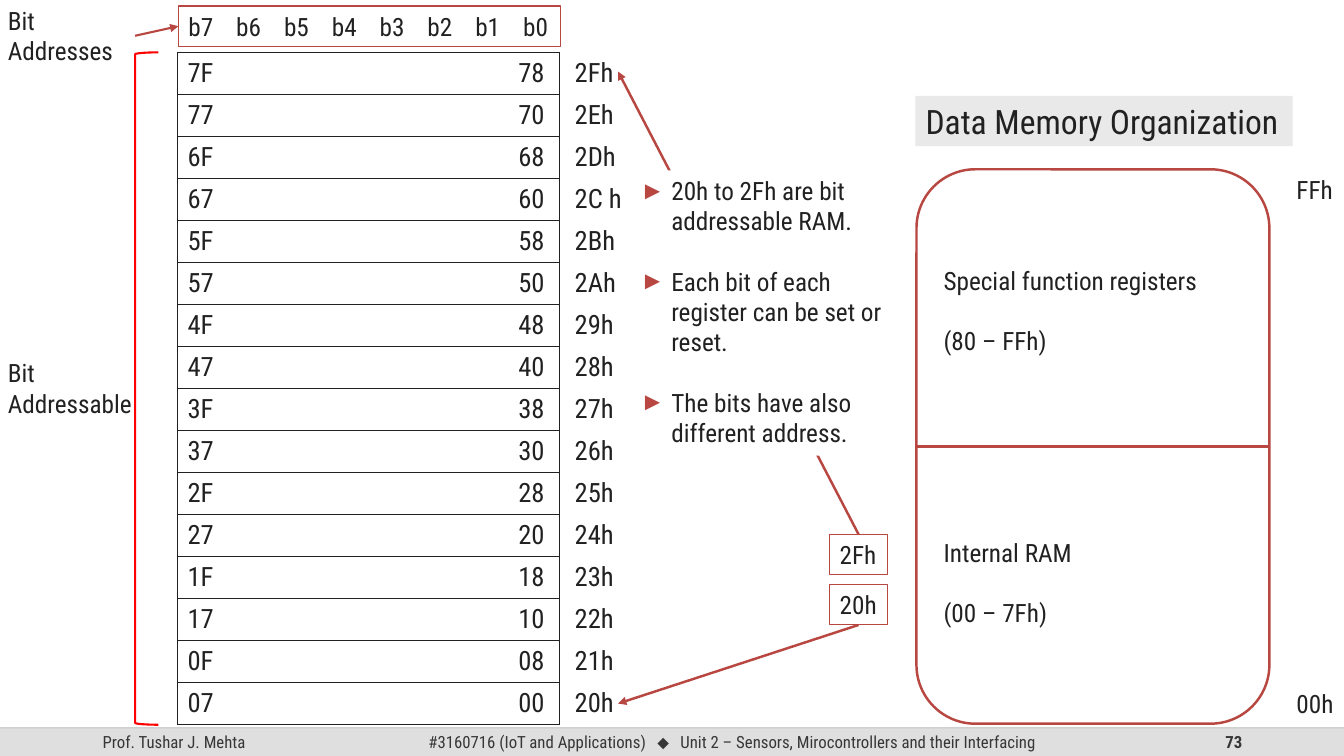
from dataclasses import dataclass
from lxml.etree import SubElement
from pptx import Presentation
from pptx.dml.color import RGBColor
from pptx.enum.shapes import MSO_CONNECTOR, MSO_SHAPE
from pptx.enum.text import MSO_ANCHOR, MSO_AUTO_SIZE, PP_ALIGN
from pptx.oxml.ns import qn
from pptx.util import Inches, Pt


@dataclass(frozen=True)
class Theme:
    font: str = "Roboto Condensed"
    symbol_font: str = "Arial"
    ink: str = "212121"
    accent: str = "B84742"
    bracket: str = "FF0000"
    white: str = "FFFFFF"
    title_bg: str = "E9E9E9"
    footer_bg: str = "DFDFDF"
    footer_rule: str = "BFBFBF"
    footer_ink: str = "373737"
    title: int = 24
    cell: int = 19
    body: int = 18
    footer: int = 12
    blank_line: float = 21.6


T = Theme()
ROWS = 16


def rgb(color):
    return RGBColor.from_string(color)


def format_text(tf, size=T.body, color=T.ink, align=PP_ALIGN.LEFT, bold=False):
    for p in tf.paragraphs:
        p.alignment = align
        for r in p.runs:
            r.font.name = T.font
            r.font.size = Pt(size)
            r.font.bold = bold
            r.font.color.rgb = rgb(color)


def add_tabs(p, stops):
    tabs = SubElement(p._p.get_or_add_pPr(), qn("a:tabLst"))
    for pos, align in stops:
        SubElement(tabs, qn("a:tab"), pos=str(Inches(pos)), algn=align)


def add_text(s, box, text, anchor=MSO_ANCHOR.TOP, wrap=True, **style):
    sp = s.shapes.add_textbox(*map(Inches, box))
    tf = sp.text_frame
    tf.word_wrap = wrap
    tf.vertical_anchor = anchor
    tf.text = text
    format_text(tf, **style)
    return sp


def add_box(s, kind, box, fill=None, line=None, width=0.75, text="",
            anchor=MSO_ANCHOR.TOP, wrap=True):
    sp = s.shapes.add_shape(kind, *map(Inches, box))
    sp.shadow.inherit = False
    if fill:
        sp.fill.solid()
        sp.fill.fore_color.rgb = rgb(fill)
    else:
        sp.fill.background()
    if line:
        sp.line.color.rgb = rgb(line)
        sp.line.width = Pt(width)
    else:
        sp.line.fill.background()
    tf = sp.text_frame
    tf.word_wrap = wrap
    tf.vertical_anchor = anchor
    tf.text = text
    format_text(tf)
    return sp


def add_line(s, start, end, width, color=T.accent, arrow=False):
    c = s.shapes.add_connector(MSO_CONNECTOR.STRAIGHT, *map(Inches, start + end))
    c.line.color.rgb = rgb(color)
    c.line.width = Pt(width)
    if arrow:
        SubElement(c.line._get_or_add_ln(), qn("a:tailEnd"), type="triangle")
    SubElement(c._element.spPr, qn("a:effectLst"))
    return c


def set_borders(cell, color):
    tc_pr = cell._tc.get_or_add_tcPr()
    for side in ("a:lnL", "a:lnR", "a:lnT", "a:lnB"):
        ln = SubElement(tc_pr, qn(side), w=str(Pt(1)))
        if color:
            fill = SubElement(ln, qn("a:solidFill"))
            SubElement(fill, qn("a:srgbClr"), val=color)
        else:
            SubElement(ln, qn("a:noFill"))


def add_column(s, box, texts, border=None, tabs=()):
    tbl = s.shapes.add_table(len(texts), 1, *map(Inches, box)).table
    tbl.first_row = tbl.horz_banding = False
    for i, text in enumerate(texts):
        cell = tbl.cell(i, 0)
        set_borders(cell, border)
        cell.fill.background()
        cell.text = text
        if tabs:
            add_tabs(cell.text_frame.paragraphs[0], tabs)
        format_text(cell.text_frame, T.cell)


def footer(s, box):
    x, y, w, h = box
    add_box(s, MSO_SHAPE.RECTANGLE, box, fill=T.footer_bg)
    rule = add_line(s, (x, y), (x + w, y), 1, T.footer_rule)
    color = rule.line._get_or_add_ln().find(".//" + qn("a:srgbClr"))
    SubElement(color, qn("a:alpha"), val="70000")
    style = dict(anchor=MSO_ANCHOR.MIDDLE, size=T.footer, color=T.footer_ink)
    add_text(s, (x + 0.92, y, 3, h), "Prof. Tushar J. Mehta", **style)
    add_text(s, (x + 9.42, y, 3, h), "73", align=PP_ALIGN.RIGHT, bold=True, **style)
    sp = add_text(s, (x + 4.15, y, 6.29, h), "", **style)
    p = sp.text_frame.paragraphs[0]
    add_tabs(p, [(2.33, "ctr"), (2.5, "l")])
    for text in ("#3160716 (IoT and Applications)\t", "⬥",
                 "\tUnit 2 – Sensors, Mirocontrollers and their Interfacing"):
        p.add_run().text = text
    format_text(sp.text_frame, T.footer, T.footer_ink)
    p.runs[1].font.name = T.symbol_font


def bit_map(s, box):
    x, y, w, h = box
    header = add_box(s, MSO_SHAPE.RECTANGLE, (x + 1.79, y + 0.06, 3.79, 0.4),
                     line=T.accent)
    p = header.text_frame.paragraphs[0]
    add_tabs(p, [(3.32 * i / 7, "l") for i in range(1, 8)])
    p.text = "\t".join(f"b{bit}" for bit in range(7, -1, -1))
    format_text(header.text_frame)
    label = add_text(s, (x, y, 1.36, 0.71), "Bit Addresses")
    pointer = add_line(s, (x + 1.36, y + 0.35), (x + 1.79, y + 0.26), 1.5, arrow=True)
    pointer.begin_connect(label, 3)
    pointer.end_connect(header, 1)

    top, height = y + 0.52, h - 0.52
    rows = range(ROWS - 1, -1, -1)
    bits = [f"{8 * i + 7:02X}\t{8 * i:02X}" for i in rows]
    add_column(s, (x + 1.78, top, 3.79, height), bits, T.ink, [(3.54, "r")])
    addresses = [f"2{i:X} h" if i == 12 else f"2{i:X}h" for i in rows]
    add_column(s, (x + 5.62, top, 0.68, height), addresses)

    add_box(s, MSO_SHAPE.LEFT_BRACKET, (x + 1.36, top, 0.23, height),
            line=T.bracket, width=1.5)
    add_text(s, (x, y + 3.5, 1.45, 0.71), "Bit Addressable")


def address_notes(s, box):
    x, y, w, h = box
    for text, top, side, start_y, end_y in (
            ("2Fh", 3.61, 0, 3.61, -0.98), ("20h", 4.11, 2, 4.51, 5.29)):
        tag = add_box(s, MSO_SHAPE.RECTANGLE, (x + 1.98, y + top, 0.57, 0.4),
                      line=T.accent, text=text, wrap=False)
        c = add_line(s, (x + 2.26, y + start_y), (x - 0.12, y + end_y), 1.75, arrow=True)
        c.begin_connect(tag, side)
    notes = ["20h to 2Fh are bit addressable RAM.",
             "Each bit of each register can be set or reset.",
             "The bits have also different address."]
    sp = add_box(s, MSO_SHAPE.RECTANGLE, box, fill=T.white, text="\n".join(notes))
    for i, p in enumerate(sp.text_frame.paragraphs):
        if i:
            p.space_before = Pt(T.blank_line)
        p_pr = p._p.get_or_add_pPr()
        p_pr.set("marL", str(Inches(0.31)))
        p_pr.set("indent", str(-Inches(0.31)))
        color = SubElement(p_pr, qn("a:buClr"))
        SubElement(color, qn("a:srgbClr"), val=T.accent)
        SubElement(p_pr, qn("a:buFont"), typeface=T.symbol_font)
        SubElement(p_pr, qn("a:buChar"), char="►")


def memory_map(s, box):
    x, y, w, h = box
    parts = ["Special function registers", "(80 – FFh)", "Internal RAM", "(00 – 7Fh)"]
    memory = add_box(s, MSO_SHAPE.ROUNDED_RECTANGLE, (x, y, 3.5, h), T.white, T.accent,
                     1.75, "\n".join(parts), MSO_ANCHOR.MIDDLE)
    for p, blanks in zip(memory.text_frame.paragraphs[1:], (1, 6, 1)):
        p.space_before = Pt(blanks * T.blank_line)
    divider = add_line(s, (x, y + h / 2), (x + 3.5, y + h / 2), 1.5)
    divider.begin_connect(memory, 1)
    divider.end_connect(memory, 3)
    for text, top in (("FFh", y), ("00h", y + h - 0.4)):
        add_text(s, (x + 3.67, top, 0.57, 0.4), text, wrap=False)


def slide_title(s, box):
    sp = s.shapes.title
    sp.left, sp.top, sp.width, sp.height = map(Inches, box)
    sp.fill.solid()
    sp.fill.fore_color.rgb = rgb(T.title_bg)
    tf = sp.text_frame
    tf.text = "Data Memory Organization"
    tf.word_wrap = True
    tf.auto_size = MSO_AUTO_SIZE.NONE
    tf.vertical_anchor = MSO_ANCHOR.TOP
    format_text(tf, T.title)


def main():
    prs = Presentation()
    prs.slide_width, prs.slide_height = Inches(13.33), Inches(7.5)
    s = prs.slides.add_slide(prs.slide_layouts[5])
    slide_title(s, (9.08, 0.95, 3.74, 0.5))
    footer(s, (0, 7.22, 13.33, 0.28))
    bit_map(s, (-0.02, 0, 6.3, 7.19))
    memory_map(s, (9.09, 1.68, 4.24, 5.5))
    address_notes(s, (6.25, 1.69, 2.65, 2.83))
    prs.save("out.pptx")


if __name__ == "__main__":
    main()
